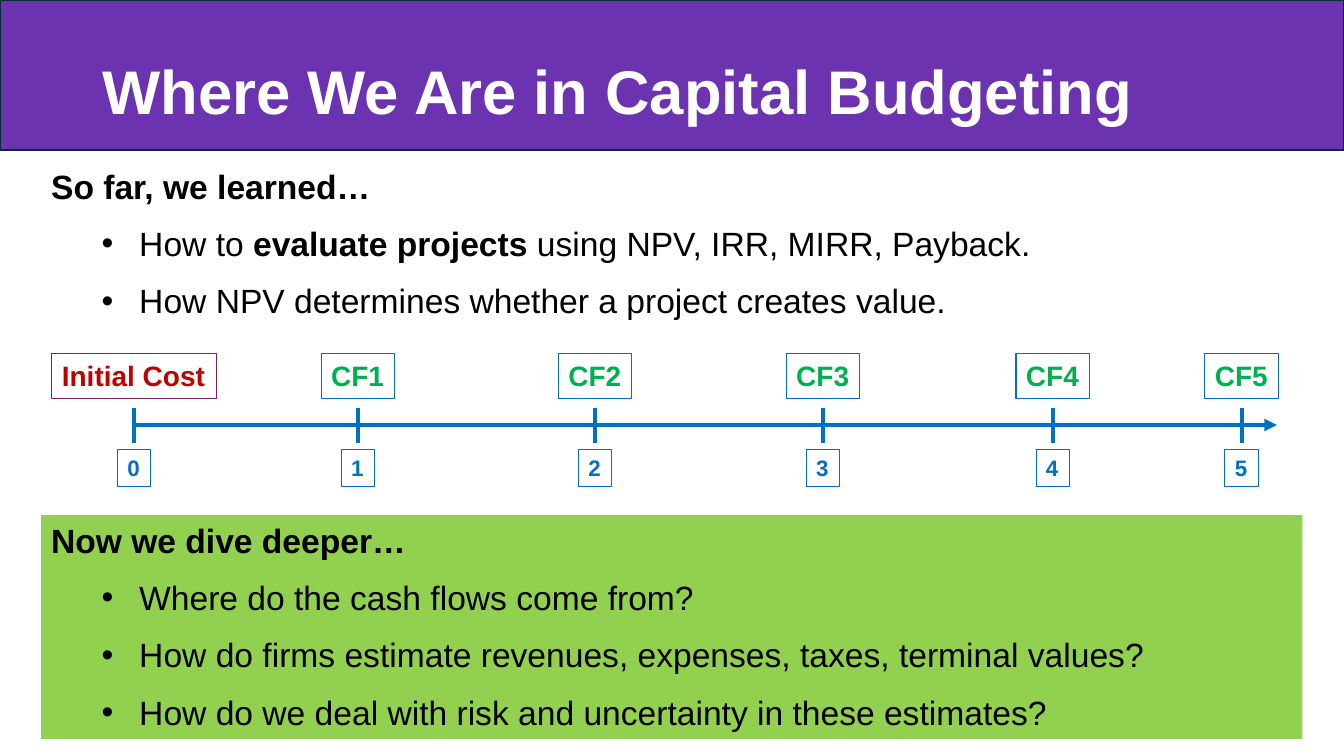
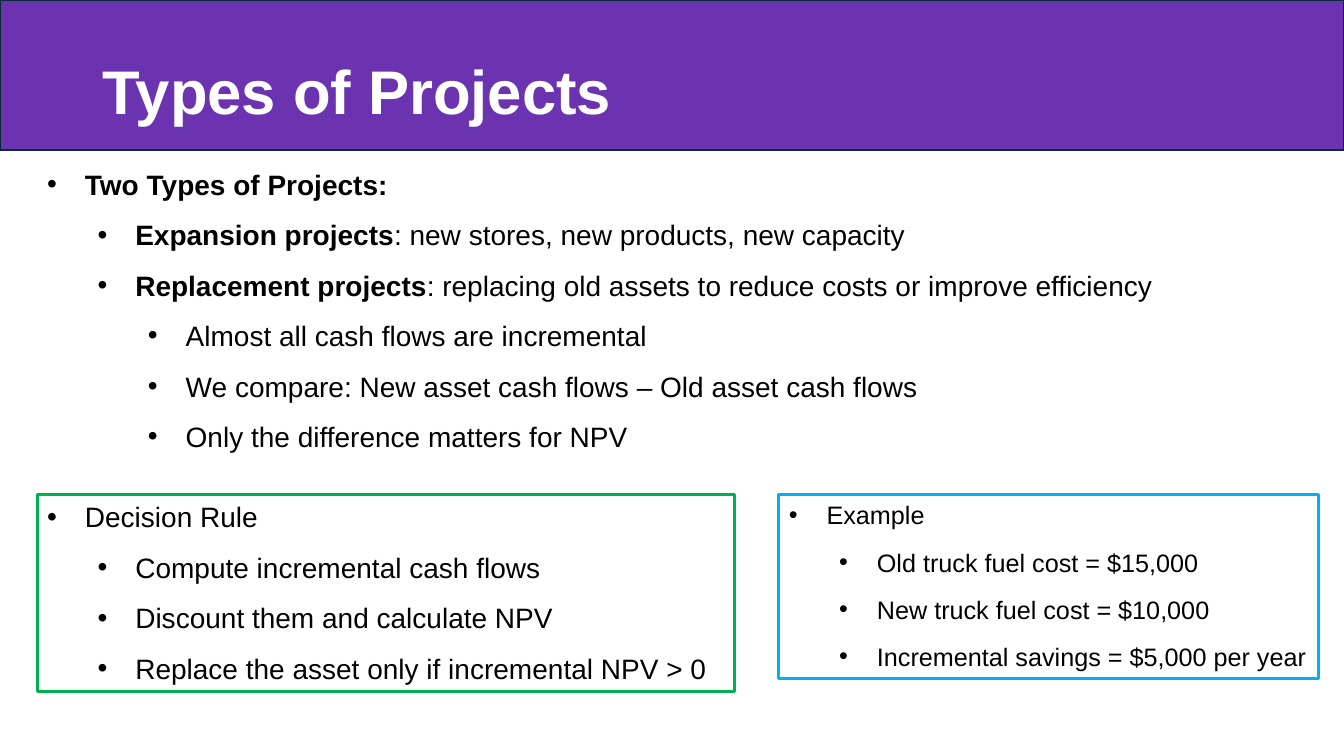
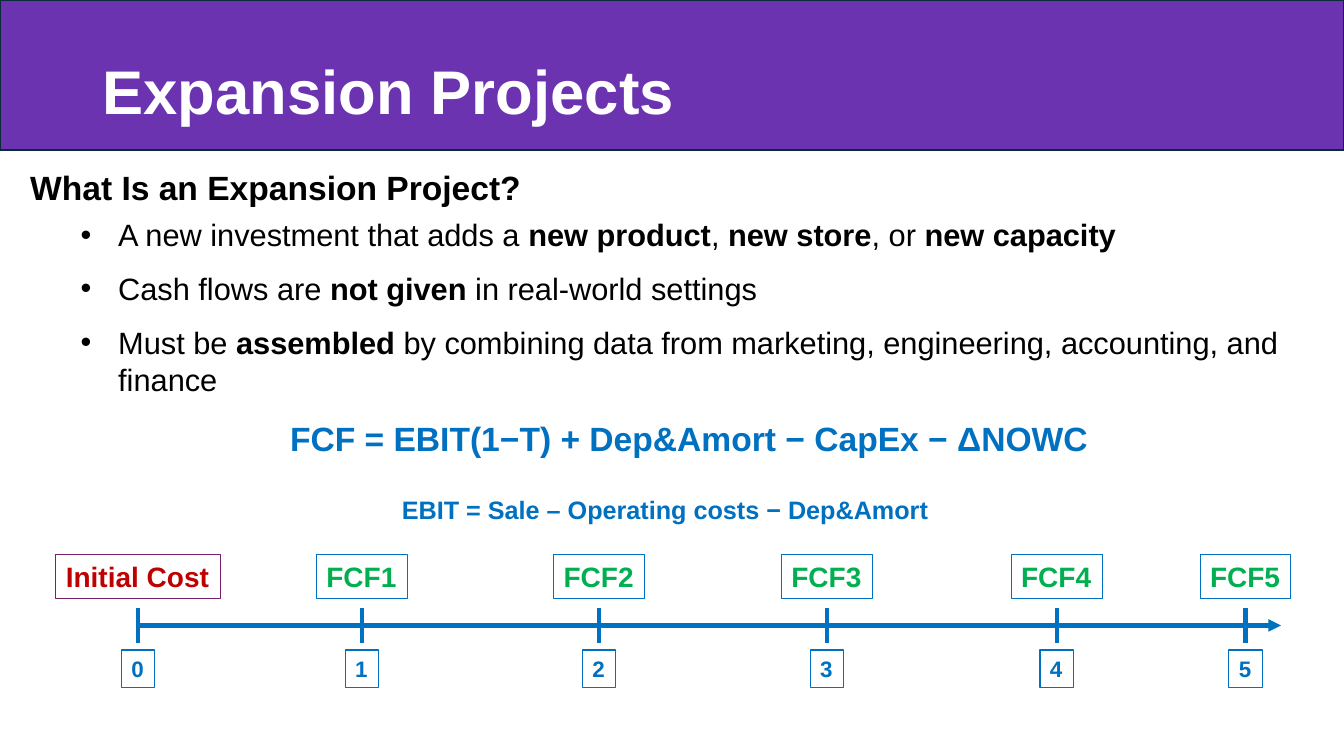
from dataclasses import dataclass

from lxml import etree
from pptx import Presentation
from pptx.dml.color import RGBColor
from pptx.enum.shapes import MSO_CONNECTOR, MSO_SHAPE
from pptx.enum.text import MSO_ANCHOR, MSO_AUTO_SIZE
from pptx.oxml.ns import qn
from pptx.util import Cm, Pt

RECT = MSO_SHAPE.RECTANGLE
STRAIGHT = MSO_CONNECTOR.STRAIGHT
TOP, MIDDLE = MSO_ANCHOR.TOP, MSO_ANCHOR.MIDDLE
GROW, FIXED = MSO_AUTO_SIZE.SHAPE_TO_FIT_TEXT, MSO_AUTO_SIZE.NONE

FONT = "Arial"
HUES = {
    "band": "6C33B0", "edge": "092A39", "white": "FFFFFF", "black": "000000",
    "lime": "92D050", "blue": "0070C0", "green": "00B050", "sky": "00B0F0",
    "red": "C00000", "plum": "78206E",
}
WIDE, HIGH = 33.87, 19.05
HANG, STEP = 0.95, 1.27
TICKS = (3.38, 9.02, 15.0, 20.74, 26.53, 31.29)


@dataclass(frozen=True)
class Row:
    text: str
    level: int | None = None
    gap: int = 6
    size: int | None = None


@dataclass(frozen=True)
class Box:
    left: float
    top: float
    width: float
    height: float


def hue(name: str) -> RGBColor:
    return RGBColor.from_string(HUES[name])


def bullet(para, level: int) -> None:
    para.level = level
    props = para._p.get_or_add_pPr()
    props.set("marL", str(Cm(HANG + STEP * level)))
    props.set("indent", str(-Cm(HANG)))
    etree.SubElement(props, qn("a:buFont")).set("typeface", FONT)
    etree.SubElement(props, qn("a:buChar")).set("char", "•")


def write(slide, box: Box, rows: list[Row], *, size: int, color: str = "black",
          bold: bool = False, wrap: bool = True, fill: str | None = None,
          line: str | None = None, weight: float = 0.75,
          anchor=TOP, fit=GROW, spacing: float | None = None) -> None:
    shape = slide.shapes.add_textbox(Cm(box.left), Cm(box.top), Cm(box.width), Cm(box.height))
    if fill:
        shape.fill.solid()
        shape.fill.fore_color.rgb = hue(fill)
    if line:
        shape.line.color.rgb = hue(line)
        shape.line.width = Pt(weight)
    frame = shape.text_frame
    frame.word_wrap, frame.auto_size, frame.vertical_anchor = wrap, fit, anchor
    for rank, row in enumerate(rows):
        para = frame.add_paragraph() if rank else frame.paragraphs[0]
        if row.level is not None:
            bullet(para, row.level)
        para.space_before = Pt(row.gap if rank else 0)
        para.space_after = Pt(row.gap)
        if spacing:
            para.line_spacing = spacing
        for part, text in enumerate(row.text.split("*")):
            if text:
                run = para.add_run()
                run.text = text
                run.font.name = FONT
                run.font.size = Pt(row.size or size)
                run.font.bold = bold or part % 2 == 1
                run.font.color.rgb = hue(color)


def start(deck, title: str):
    slide = deck.slides.add_slide(deck.slide_layouts[6])
    band = slide.shapes.add_shape(RECT, 0, 0, Cm(WIDE), Cm(3.78))
    band.shadow.inherit = False
    band.fill.solid()
    band.fill.fore_color.rgb = hue("band")
    band.line.color.rgb = hue("edge")
    band.line.width = Pt(1.5)
    write(slide, Box(2.34, 1.02, 29.21, 2.72), [Row(title, gap=0)], size=44,
          color="white", bold=True, anchor=MIDDLE, fit=FIXED, spacing=0.9)
    return slide


def stroke(slide, x1: float, y1: float, x2: float, y2: float, arrow: bool = False) -> None:
    link = slide.shapes.add_connector(STRAIGHT, Cm(x1), Cm(y1), Cm(x2), Cm(y2))
    link.line.color.rgb = hue("blue")
    link.line.width = Pt(3)
    if arrow:
        etree.SubElement(link.line._get_or_add_ln(), qn("a:tailEnd")).set("type", "triangle")
    etree.SubElement(link._element.spPr, qn("a:effectLst"))


def label(slide, text: str, mid: float, top: float, width: float, height: float,
          size: int, color: str, line: str = "blue") -> None:
    write(slide, Box(mid - width / 2, top, width, height), [Row(text, gap=0)],
          size=size, color=color, bold=True, wrap=False, line=line)


def timeline(slide, top: float, stem: str, width: float, shift: float = 0) -> None:
    axis = top + 1.79
    stroke(slide, TICKS[0] + shift, axis, 32.18 + shift, axis, arrow=True)
    for year, tick in enumerate(TICKS):
        mid = tick + shift
        stroke(slide, mid, top + 1.36, mid, top + 2.24)
        label(slide, str(year), mid, top + 2.41, 0.84, 0.94, 16, "blue")
        if year:
            label(slide, f"{stem}{year}", mid, top, width, 1.12, 20, "green")
        else:
            label(slide, "Initial Cost", mid, top, 4.14, 1.12, 20, "red", "plum")


def recap(deck) -> None:
    slide = start(deck, "Where We Are in Capital Budgeting")
    write(slide, Box(1.04, 4.06, 31.78, 4.19), [
        Row("*So far, we learned…*"),
        Row("How to *evaluate projects* using NPV, IRR, MIRR, Payback.", 1),
        Row("How NPV determines whether a project creates value.", 1),
    ], size=24)
    write(slide, Box(1.04, 12.98, 31.78, 5.64), [
        Row("*Now we dive deeper…*"),
        Row("Where do the cash flows come from?", 1),
        Row("How do firms estimate revenues, expenses, taxes, terminal values?", 1),
        Row("How do we deal with risk and uncertainty in these estimates?", 1),
    ], size=24, fill="lime")
    timeline(slide, 8.92, "CF", 1.85)


def types(deck) -> None:
    slide = start(deck, "Types of Projects")
    write(slide, Box(0.94, 4.09, 32.46, 7.52), [
        Row("*Two Types of Projects:*", 0),
        Row("*Expansion projects*: new stores, new products, new capacity", 1),
        Row("*Replacement projects*: replacing old assets to reduce costs or improve efficiency", 1),
        Row("Almost all cash flows are incremental", 2),
        Row("We compare: New asset cash flows – Old asset cash flows", 2),
        Row("Only the difference matters for NPV", 2),
    ], size=20)
    write(slide, Box(0.94, 12.47, 17.58, 4.95), [
        Row("Decision Rule", 0),
        Row("Compute incremental cash flows", 1),
        Row("Discount them and calculate NPV", 1),
        Row("Replace the asset only if incremental NPV > 0", 1),
    ], size=20, line="green", weight=2.25)
    write(slide, Box(19.63, 12.47, 13.59, 4.62), [
        Row("Example", 0),
        Row("Old truck fuel cost = $15,000", 1),
        Row("New truck fuel cost = $10,000", 1),
        Row("Incremental savings = $5,000 per year", 1),
    ], size=18, line="sky", weight=2.25)


def growth(deck) -> None:
    slide = start(deck, "Expansion Projects")
    write(slide, Box(0.51, 4.09, 33.02, 6.12), [
        Row("*What Is an Expansion Project?*", gap=0, size=24),
        Row("A new investment that adds a *new product*, *new store*, or *new capacity*", 1),
        Row("Cash flows are *not given* in real-world settings", 1),
        Row("Must be *assembled* by combining data from marketing, engineering, "
            "accounting, and finance", 1),
    ], size=22)
    timeline(slide, 13.97, "FCF", 2.29, 0.1)
    write(slide, Box(7.06, 10.41, 20.8, 1.27),
          [Row("FCF = EBIT(1−T) + Dep&Amort − CapEx − ΔNOWC", gap=0)],
          size=24, color="blue", bold=True, wrap=False)
    write(slide, Box(9.88, 12.32, 14.1, 1.02),
          [Row("EBIT = Sale – Operating costs − Dep&Amort", gap=0)],
          size=18, color="blue", bold=True, wrap=False)


def main() -> None:
    deck = Presentation()
    deck.slide_width, deck.slide_height = Cm(WIDE), Cm(HIGH)
    for build in (recap, types, growth):
        build(deck)
    deck.save("out.pptx")


if __name__ == "__main__":
    main()
